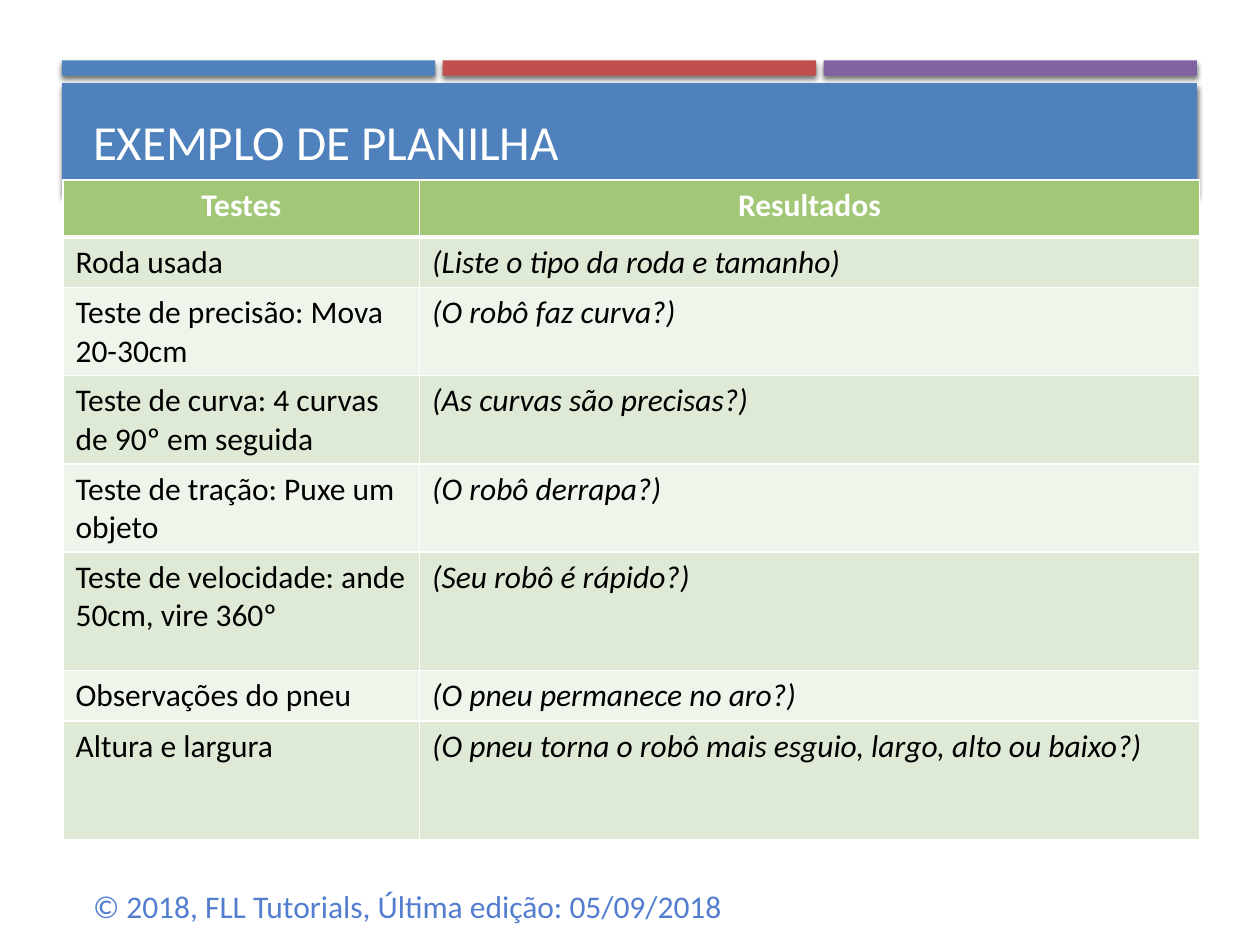
from dataclasses import dataclass
from lxml.etree import SubElement
from pptx import Presentation
from pptx.dml.color import RGBColor
from pptx.enum.shapes import MSO_SHAPE as SHAPE
from pptx.enum.text import MSO_ANCHOR as ANCHOR, PP_ALIGN as ALIGN
from pptx.oxml.ns import qn
from pptx.util import Inches, Pt

BLUE, RED, PURPLE, WHITE = "4F81BD", "C0504D", "8064A2", "FFFFFF"
HEADER, BANDS = "A2C777", ("DFEAD6", "F0F5EB")
ROWS = [
    ("Testes", "Resultados", 0.45),
    ("Roda usada", "(Liste o tipo da roda e tamanho)", 0.38),
    ("Teste de precisão: Mova 20-30cm", "(O robô faz curva?)", 0.66),
    ("Teste de curva: 4 curvas de 90º em seguida", "(As curvas são precisas?)", 0.66),
    ("Teste de tração: Puxe um objeto", "(O robô derrapa?)", 0.66),
    ("Teste de velocidade: ande 50cm, vire 360º", "(Seu robô é rápido?)", 0.94),
    ("Observações do pneu", "(O pneu permanece no aro?)", 0.38),
    ("Altura e largura", "(O pneu torna o robô mais esguio, largo, alto ou baixo?)", 0.94),
]


def rgb(value):
    return RGBColor.from_string(value)


def add_color(parent, value):
    return SubElement(parent, qn("a:srgbClr"), val=value)


@dataclass
class Deck:
    slide: object
    font: str = "Calibri"
    size: int = 18

    def add_text(self, tf, text, color, align=ALIGN.LEFT, **formats):
        p = tf.paragraphs[0]
        p.alignment = align
        r = p.add_run()
        r.text = text
        r.font.color.rgb = rgb(color)
        values = {"name": self.font, "size": Pt(self.size), **formats}
        for name, value in values.items():
            setattr(r.font, name, value)

    def bar(self, box, color):
        sp = self.slide.shapes.add_shape(SHAPE.RECTANGLE, *map(Inches, box))
        sp.fill.solid()
        sp.fill.fore_color.rgb = rgb(color)
        sp.line.fill.background()
        sp.shadow.inherit = False
        effects = sp._element.spPr.find(qn("a:effectLst"))
        shadow = SubElement(effects, qn("a:outerShdw"), blurRad=str(Pt(3)),
                            dist=str(Pt(2)), dir="5400000", rotWithShape="0")
        SubElement(add_color(shadow, "000000"), qn("a:alpha"), val="55000")

    def text(self, box, text, color, anchor=ANCHOR.TOP, **formats):
        tf = self.slide.shapes.add_textbox(*map(Inches, box)).text_frame
        tf.word_wrap = True
        tf.vertical_anchor = anchor
        self.add_text(tf, text, color, **formats)

    def borders(self, cell, widths):
        tcPr = cell._tc.get_or_add_tcPr()
        for i, (side, width) in enumerate(widths.items()):
            line = tcPr.makeelement(qn(f"a:{side}"), {"w": str(Pt(width))})
            add_color(SubElement(line, qn("a:solidFill")), WHITE)
            tcPr.insert(i, line)

    def table(self, box, widths, rows):
        shape = self.slide.shapes.add_table(len(rows), len(widths), *map(Inches, box))
        table = shape.table
        for column, width in zip(table.columns, widths):
            column.width = Inches(width)
        for i, (*texts, height) in enumerate(rows):
            table.rows[i].height = Inches(height)
            head = i == 0
            edges = {"lnL": 0.96, "lnR": 0.96,
                     "lnT": 3 if i == 1 else 0.96, "lnB": 3 if head else 0.96}
            for j, text in enumerate(texts):
                cell = table.cell(i, j)
                cell.fill.solid()
                cell.fill.fore_color.rgb = rgb(HEADER if head else BANDS[(i - 1) % 2])
                self.borders(cell, edges)
                self.add_text(cell.text_frame, text, WHITE if head else "000000",
                              ALIGN.CENTER if head else ALIGN.LEFT,
                              bold=head, italic=not head and j == 1)


def main():
    prs = Presentation()
    prs.slide_width, prs.slide_height = Inches(10), Inches(7.5)
    deck = Deck(prs.slides.add_slide(prs.slide_layouts[6]))
    left, width, gap = 0.49, 9.01, 0.06
    bar_width = (width - 2 * gap) / 3
    for i, color in enumerate((BLUE, RED, PURPLE)):
        deck.bar((left + i * (bar_width + gap), 0.48, bar_width, 0.12), color)
    deck.bar((left, 0.66, width, 0.89), BLUE)
    deck.text((0.64, 0.75, 8.74, 0.65), "EXEMPLO DE PLANILHA", WHITE,
              ANCHOR.BOTTOM, size=Pt(28))
    deck.table((0.5, 1.43, 9.02, 5.07), (2.83, 6.19), ROWS)
    deck.text((0.64, 6.99, 5.74, 0.4),
              "© 2018, FLL Tutorials, Última edição: 05/09/2018", "537ED0")
    prs.save("out.pptx")


if __name__ == "__main__":
    main()
